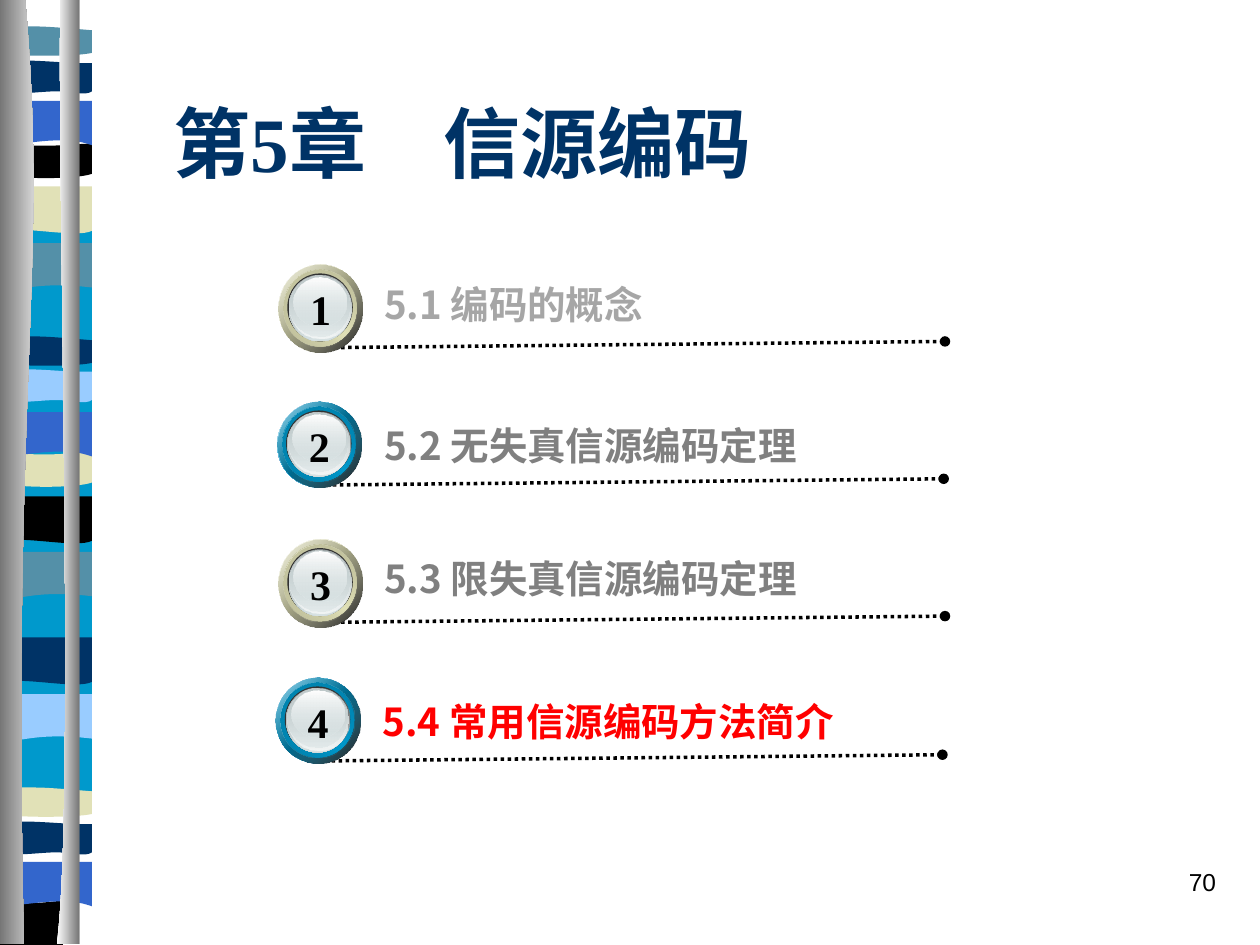
from dataclasses import dataclass

from lxml.etree import SubElement
from pptx import Presentation
from pptx.dml.color import RGBColor
from pptx.enum.dml import MSO_LINE
from pptx.enum.shapes import MSO_CONNECTOR, MSO_SHAPE
from pptx.enum.text import MSO_ANCHOR, MSO_AUTO_SIZE, PP_ALIGN
from pptx.oxml.ns import qn
from pptx.util import Inches, Pt


@dataclass(frozen=True)
class Theme:
    black: str = "000000"
    white: str = "FFFFFF"
    navy: str = "003366"
    blue: str = "3366CC"
    sky: str = "99CCFF"
    teal: str = "0099CC"
    slate: str = "5490A8"
    sand: str = "E1E1B7"
    steel: str = "767676"
    light_gray: str = "A6A6A6"
    gray: str = "808080"
    red: str = "FF0000"
    serif: str = "Times New Roman"
    sans: str = "Arial"
    cjk: str = "Noto Sans CJK SC"
    title_size: int = 44
    label_size: int = 22
    digit_size: int = 24
    number_size: int = 14


THEME = Theme()

# Main colour, ring edge and ring shade of a button
SAND_BUTTON = (THEME.sand, "ACAC8C", "B9B996")
TEAL_BUTTON = (THEME.teal, "00759C", "007EA7")

# Number, label, label colour, label place, button left, top and height, button colours
TOPICS = [
    ("1", "5.1 编码的概念", THEME.light_gray,
     (2.95, 2.18, 4.31, 0.47), 2.21, 2.10, 0.70, SAND_BUTTON),
    ("2", "5.2 无失真信源编码定理", THEME.gray,
     (2.95, 3.30, 4.16, 0.47), 2.20, 3.19, 0.68, TEAL_BUTTON),
    ("3", "5.3 限失真信源编码定理", THEME.gray,
     (2.95, 4.36, 4.31, 0.47), 2.21, 4.28, 0.70, SAND_BUTTON),
    ("4", "5.4 常用信源编码方法简介", THEME.red,
     (2.94, 5.49, 4.16, 0.47), 2.19, 5.38, 0.68, TEAL_BUTTON),
]

# Outlines from the top right corner: pairs are points, sextets are Bezier curves
DRAPE = [(.59, .47), (.18, .39, .10, .55, 0, .47), (0, 0)]
ROLL = [(.59, .47), (.49, .55, .18, .42, 0, .47), (0, 0)]
LENS = [(.59, .24), (.49, .28, .10, .28, 0, .24), (0, 0),
        (.04, -.05, .13, -.04, .23, -.04), (.32, -.04, .51, -.01, .59, 0)]
BOWL = [(.59, .32), (.49, .38, .10, .38, 0, .32), (0, 0), (.36, .05, .46, 0, .59, 0)]
ARCH = [(.59, .47), (.50, .42, .46, .42, .36, .42), (.26, .42, .09, .47, 0, .47), (0, 0)]
RIBBON = [(.59, .30), (.55, .35, .46, .30, .36, .30), (.26, .30, .06, .35, 0, .30),
          (0, 0), (.08, -.06, .40, 0, .50, 0), (.59, 0)]
FOOT = [(.59, .47), (0, .47), (0, 0), (.36, .05, .46, 0, .59, 0)]
BAND_WIDTH, FOOT_WIDTH = 0.73, 0.50

BANDS = [
    (DRAPE, 1.93, THEME.slate), (ROLL, 1.48, THEME.sand), (LENS, 0.24, THEME.slate),
    (BOWL, 1.14, THEME.black), (ARCH, 0.80, THEME.blue), (RIBBON, 0.50, THEME.navy),
    (DRAPE, 4.38, THEME.slate), (ROLL, 3.94, THEME.black), (LENS, 2.70, THEME.navy),
    (BOWL, 3.59, THEME.sand), (ARCH, 3.27, THEME.blue), (RIBBON, 2.95, THEME.sky),
    (DRAPE, 5.51, THEME.sky), (ROLL, 5.06, THEME.navy), (LENS, 6.28, THEME.sand),
    (FOOT, 7.15, THEME.black), (ARCH, 6.84, THEME.blue), (RIBBON, 6.54, THEME.navy),
]


def paint(shape, stops, angle=0):
    """Fill with one colour, or with (position, colour, opacity) gradient stops."""
    shape.shadow.inherit = False
    shape.line.fill.background()
    if isinstance(stops, str):
        shape.fill.solid()
        shape.fill.fore_color.rgb = RGBColor.from_string(stops)
        return
    shape.fill.background()
    properties = shape._element.spPr
    empty = properties.find(qn("a:noFill"))
    gradient = properties.makeelement(qn("a:gradFill"), {"rotWithShape": "1"})
    properties.replace(empty, gradient)
    stop_list = SubElement(gradient, qn("a:gsLst"))
    for position, color, opacity in stops:
        stop = SubElement(stop_list, qn("a:gs"), pos=str(position * 1000))
        tint = SubElement(stop, qn("a:srgbClr"), val=color)
        if opacity < 100:
            SubElement(tint, qn("a:alpha"), val=str(opacity * 1000))
    SubElement(gradient, qn("a:lin"), ang=str(angle * 60000), scaled="0")


def add_outline(page, start, segments, stops, top=0, stretch=(1, 1)):
    """Draw points and curves; the box also encloses the curves' control points."""
    points = [start]
    for segment in segments:
        points += zip(segment[::2], segment[1::2])
    corners = [(Inches(x * stretch[0]), Inches(top + y * stretch[1])) for x, y in points]
    builder = page.shapes.build_freeform(*corners[0])
    builder.add_line_segments(corners[1:], close=True)
    shape = builder.convert_to_shape()

    lines = iter(list(shape._element.iter(qn("a:lnTo"))))
    for segment in segments:
        first = next(lines)
        if len(segment) == 6:
            first.tag = qn("a:cubicBezTo")
            for follower in (next(lines), next(lines)):
                first.append(follower[0])
                follower.getparent().remove(follower)
    paint(shape, stops)


def add_border(page):
    base = page.shapes.add_shape(MSO_SHAPE.RECTANGLE, 0, Inches(1.5),
                                 Inches(BAND_WIDTH), Inches(4.93))
    paint(base, THEME.teal)
    for outline, top, color in BANDS:
        width = FOOT_WIDTH if outline is FOOT else BAND_WIDTH
        add_outline(page, (.59, 0), outline, color, top, (width / 0.59, 0.75))

    dark_to_light = [(0, THEME.steel, 100), (100, THEME.white, 100)]
    light_to_dark = [(0, THEME.white, 100), (100, THEME.steel, 100)]
    wide_rail = [(.39, 2.16, .09, 2.96, .19, 7.49), (0, 7.49), (0, 0)]
    thin_rail = [(.45, 1.25, .60, 6.46, .45, 7.49), (.63, 7.49), (.63, 0)]
    add_outline(page, (.20, 0), wide_rail, dark_to_light)
    add_outline(page, (.48, 0), thin_rail, light_to_dark)


def add_text(shapes, place, text, font, size, color, bold=True, align=PP_ALIGN.LEFT,
             anchor=MSO_ANCHOR.TOP, side_margin=0.1, grow=False):
    box = shapes.add_textbox(*map(Inches, place))
    frame = box.text_frame
    frame.word_wrap = True
    frame.vertical_anchor = anchor
    frame.margin_left = frame.margin_right = Inches(side_margin)
    if grow:
        frame.auto_size = MSO_AUTO_SIZE.SHAPE_TO_FIT_TEXT
    para = frame.paragraphs[0]
    para.alignment = align
    span = para.add_run()
    span.text = text
    span.font.name = font
    span.font.size = Pt(size)
    span.font.bold = bold
    span.font.color.rgb = RGBColor.from_string(color)
    SubElement(span.font._element, qn("a:ea"), typeface=THEME.cjk)


def add_dotted_line(page, left, top):
    line = page.shapes.add_connector(MSO_CONNECTOR.STRAIGHT, Inches(left), Inches(top),
                                     Inches(left + 4.96), Inches(top - 0.05))
    line.line.width = Pt(2)
    line.line.color.rgb = RGBColor.from_string(THEME.black)
    line.line.dash_style = MSO_LINE.ROUND_DOT
    SubElement(line.line._get_or_add_ln(), qn("a:tailEnd"), type="oval")
    SubElement(line._element.spPr, qn("a:effectLst"))


def add_button(page, left, top, height, number, colors):
    """Stack the ring and glass layers of a round numbered button."""
    main, edge, shade = colors
    white, glass = THEME.white, "D6E1E2"
    layers = [
        (0, 0, .67, .70, [(0, white, 100), (50, main, 100), (100, white, 100)], 45),
        (0, 0, .67, .70, [(0, main, 32), (100, THEME.black, 90)], 45),
        (.04, .04, .58, .61, [(0, edge, 100), (50, main, 100), (100, edge, 100)], 315),
        (.04, .04, .58, .61, [(0, shade, 100), (100, main, 0)], 45),
        (.07, .07, .52, .54, "333333", 0),
        (.08, .08, .50, .53, [(0, "99A1A2", 100), (100, glass, 100)], 90),
        (.09, .08, .49, .51, [(0, glass, 0), (100, "F2F5F5", 100)], 90),
        (.09, .09, .47, .48, [(0, "C1CBCC", 100), (100, glass, 48)], 90),
        (.12, .10, .42, .39, [(0, white, 100), (100, glass, 38)], 90),
    ]
    squash = height / 0.70
    group = page.shapes.add_group_shape()
    for dx, dy, width, tall, stops, angle in layers:
        disc = group.shapes.add_shape(
            MSO_SHAPE.OVAL, Inches(left + dx), Inches(top + dy * squash),
            Inches(width), Inches(tall * squash))
        paint(disc, stops, angle)
    add_text(group.shapes, (left + 0.15, top + 0.1, 0.37, 0.5), number, THEME.serif,
             THEME.digit_size, THEME.black, align=PP_ALIGN.CENTER, side_margin=0,
             grow=True)


def main():
    deck = Presentation()
    deck.slide_width, deck.slide_height = Inches(10), Inches(7.5)
    page = deck.slides.add_slide(deck.slide_layouts[6])
    add_border(page)
    add_text(page.shapes, (7.67, 6.83, 2.08, 0.5), "70", THEME.sans, THEME.number_size,
             THEME.black, bold=False, align=PP_ALIGN.RIGHT)
    add_text(page.shapes, (1.28, 0.5, 8.5, 1.25), "第5章　信源编码", THEME.serif,
             THEME.title_size, THEME.navy, anchor=MSO_ANCHOR.MIDDLE)
    for number, label, color, place, left, top, height, colors in TOPICS:
        add_dotted_line(page, left + 0.33, top + 0.66)
        add_button(page, left, top, height, number, colors)
        add_text(page.shapes, place, label, THEME.cjk, THEME.label_size, color, grow=True)
    deck.save("out.pptx")


if __name__ == "__main__":
    main()
